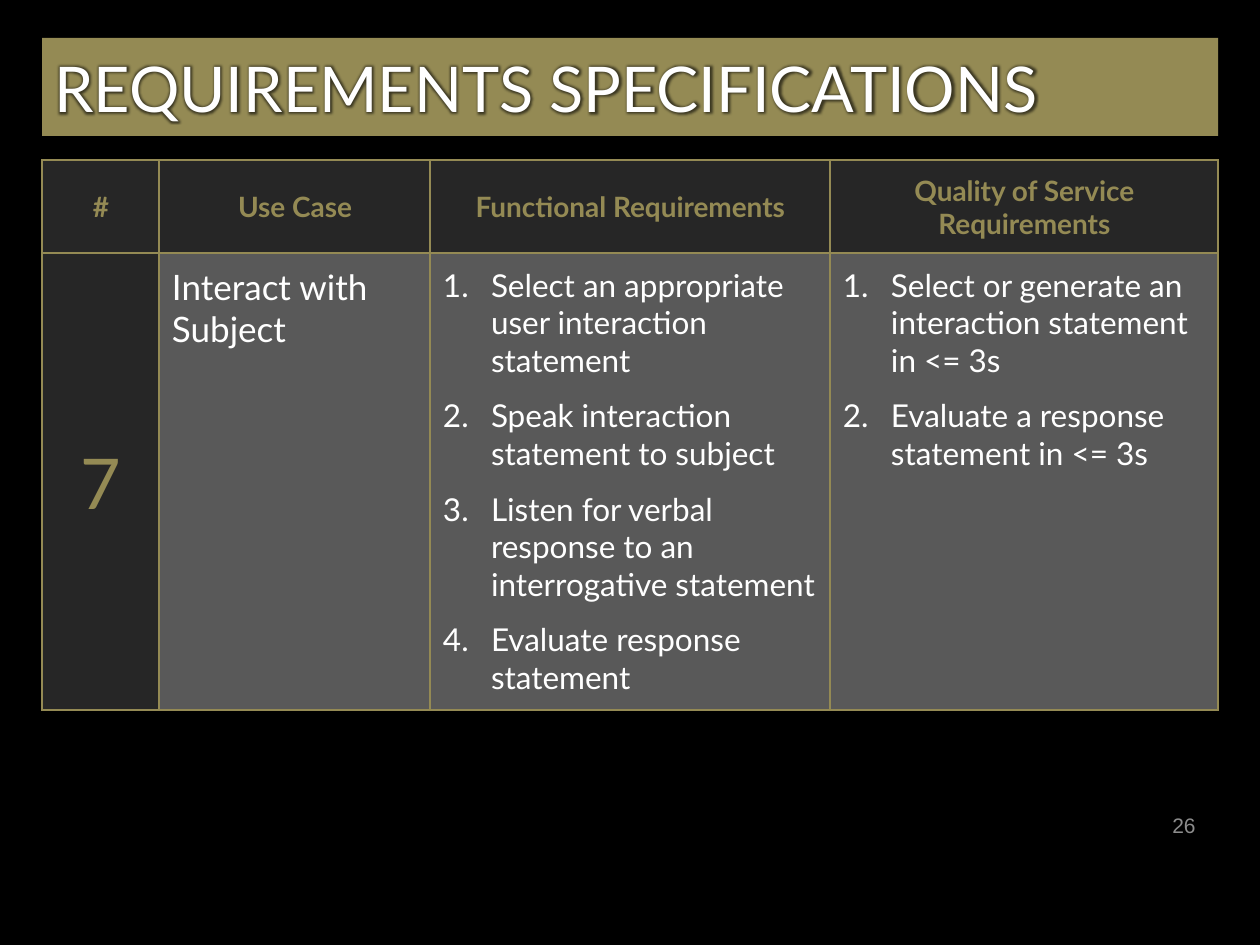
from lxml.etree import SubElement
from pptx import Presentation
from pptx.dml.color import RGBColor
from pptx.enum.shapes import MSO_SHAPE
from pptx.enum.text import MSO_ANCHOR, PP_ALIGN
from pptx.oxml import parse_xml
from pptx.oxml.ns import nsdecls, qn
from pptx.util import Emu, Pt

PX_PER_INCH = 126
COLORS = {
    "black": "000000",
    "gold": "948A54",
    "white": "FFFFFF",
    "dark": "262626",
    "gray": "595959",
    "number": "8C8C8C",
}
HEADERS = ["#", "Use Case", "Functional Requirements", "Quality of Service Requirements"]
FUNCTIONAL = [
    "Select an appropriate user interaction statement",
    "Speak interaction statement to subject",
    "Listen for verbal response to an interrogative statement",
    "Evaluate response statement",
]
QUALITY = [
    "Select or generate an interaction statement in <= 3s",
    "Evaluate a response statement in <= 3s",
]
COL_WIDTHS = [117, 271, 400, 388]
ROW_HEIGHTS = [93, 457]
LEFT = 42


def px(n):
    return Emu(round(n * 914400 / PX_PER_INCH))


def color(name):
    return RGBColor.from_string(COLORS[name])


def fill_solid(target, name):
    target.fill.solid()
    target.fill.fore_color.rgb = color(name)


def add_run(p, text, size, name, font="Lato", bold=False):
    r = p.add_run()
    r.text = text
    r.font.size = Pt(size)
    r.font.name = font
    r.font.bold = bold
    r.font.color.rgb = color(name)
    return r


def add_glow(r):
    glow = parse_xml(
        f'<a:effectLst {nsdecls("a")}><a:glow rad="63500"><a:srgbClr val="{COLORS["black"]}">'
        '<a:alpha val="60000"/></a:srgbClr></a:glow></a:effectLst>'
    )
    r.font.fill
    r._r.rPr.find(qn("a:solidFill")).addnext(glow)


def add_title(slide, text):
    sp = slide.shapes.add_shape(
        MSO_SHAPE.ROUNDED_RECTANGLE, px(LEFT), px(38), px(sum(COL_WIDTHS)), px(98))
    sp.adjustments[0] = 0
    sp.shadow.inherit = False
    fill_solid(sp, "gold")
    sp.line.fill.background()
    tf = sp.text_frame
    tf.vertical_anchor = MSO_ANCHOR.MIDDLE
    p = tf.paragraphs[0]
    p.alignment = PP_ALIGN.LEFT
    add_glow(add_run(p, text, 36, "white"))


def add_slide_number(slide, text):
    tf = slide.shapes.add_textbox(px(914), px(800), px(294), px(50)).text_frame
    tf.word_wrap = True
    tf.vertical_anchor = MSO_ANCHOR.MIDDLE
    p = tf.paragraphs[0]
    p.alignment = PP_ALIGN.RIGHT
    add_run(p, text, 12, "number", "Arial")


def set_borders(cell):
    tc_pr = cell._tc.get_or_add_tcPr()
    for i, side in enumerate(("lnL", "lnR", "lnT", "lnB")):
        tc_pr.insert(i, parse_xml(
            f'<a:{side} {nsdecls("a")} w="12700"><a:solidFill>'
            f'<a:srgbClr val="{COLORS["gold"]}"/></a:solidFill></a:{side}>'))


def style_cell(cell, fill, anchor):
    cell.margin_left = cell.margin_top = px(13)
    cell.margin_right = cell.margin_bottom = px(12)
    cell.vertical_anchor = anchor
    fill_solid(cell, fill)
    set_borders(cell)


def fill_label(cell, text, size, bold):
    style_cell(cell, "dark", MSO_ANCHOR.MIDDLE)
    p = cell.text_frame.paragraphs[0]
    p.alignment = PP_ALIGN.CENTER
    add_run(p, text, size, "gold", bold=bold)


def fill_text(cell, text):
    style_cell(cell, "gray", MSO_ANCHOR.TOP)
    add_run(cell.text_frame.paragraphs[0], text, 20, "white")


def fill_numbered(cell, items):
    style_cell(cell, "gray", MSO_ANCHOR.TOP)
    tf = cell.text_frame
    for i, item in enumerate(items):
        p = tf.add_paragraph() if i else tf.paragraphs[0]
        p.space_after = Pt(10)
        p_pr = p._p.get_or_add_pPr()
        p_pr.set("marL", str(px(48)))
        p_pr.set("indent", str(-px(48)))
        SubElement(p_pr, qn("a:buFont"), typeface="+mj-lt")
        SubElement(p_pr, qn("a:buAutoNum"), type="arabicPeriod")
        add_run(p, item, 18, "white")


def add_requirements_table(slide):
    table = slide.shapes.add_table(
        len(ROW_HEIGHTS), len(COL_WIDTHS), px(LEFT), px(160),
        px(sum(COL_WIDTHS)), px(sum(ROW_HEIGHTS))).table
    table.first_row = table.horz_banding = False
    for column, width in zip(table.columns, COL_WIDTHS):
        column.width = px(width)
    for row, height in zip(table.rows, ROW_HEIGHTS):
        row.height = px(height)
    for i, header in enumerate(HEADERS):
        fill_label(table.cell(0, i), header, 16, True)
    fill_label(table.cell(1, 0), "7", 40, False)
    fill_text(table.cell(1, 1), "Interact with Subject")
    fill_numbered(table.cell(1, 2), FUNCTIONAL)
    fill_numbered(table.cell(1, 3), QUALITY)


def main():
    prs = Presentation()
    prs.slide_width, prs.slide_height = px(1260), px(945)
    slide = prs.slides.add_slide(prs.slide_layouts[6])
    fill_solid(slide.background, "black")
    add_title(slide, "REQUIREMENTS SPECIFICATIONS")
    add_requirements_table(slide)
    add_slide_number(slide, "26")
    prs.save("out.pptx")


if __name__ == "__main__":
    main()
